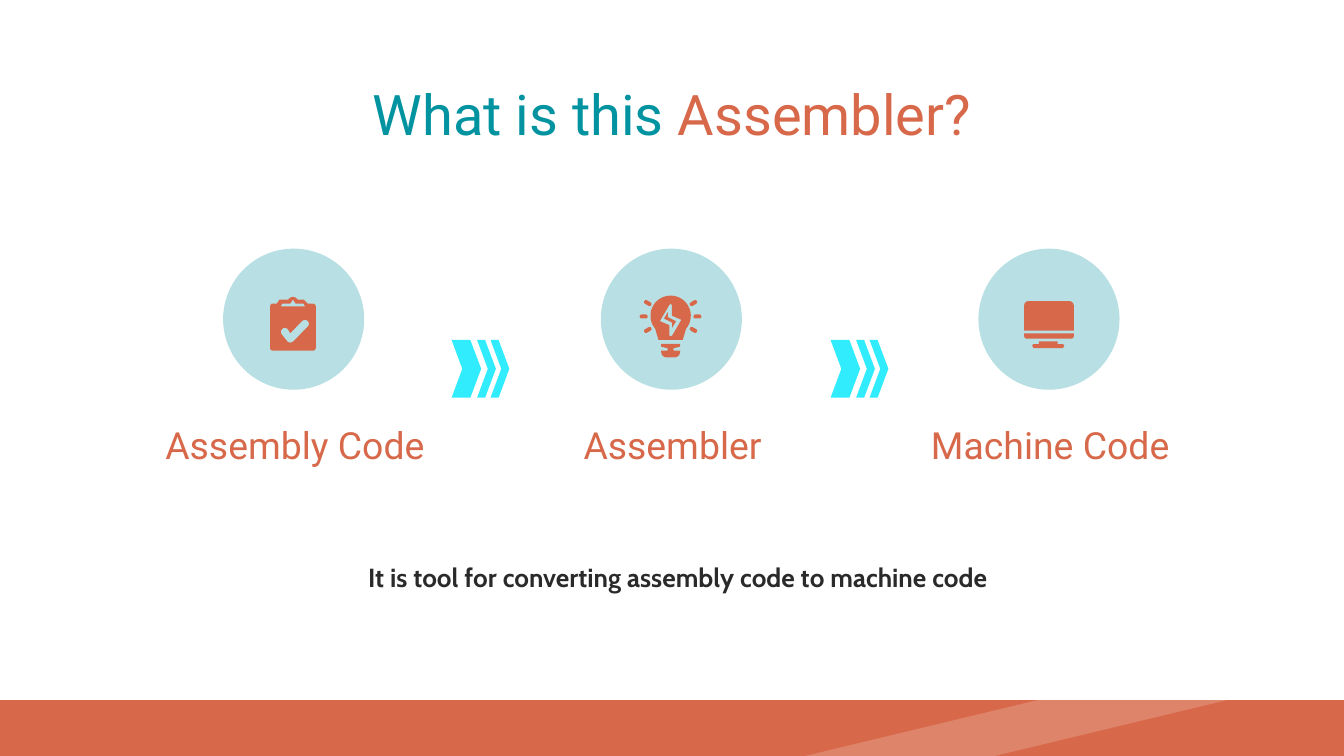
from math import cos, sin, radians

from lxml import etree
from pptx import Presentation
from pptx.dml.color import RGBColor
from pptx.enum.shapes import MSO_SHAPE as SHAPE
from pptx.enum.text import MSO_ANCHOR as ANCHOR, PP_ALIGN as ALIGN
from pptx.oxml.ns import qn
from pptx.util import Inches, Pt

TEAL, CORAL, CYAN, WHITE, INK = "0293A0", "D7694A", "31ECFC", "FFFFFF", "2A2A2A"


def color(value):
    return RGBColor.from_string(value)


def arc(x, y, radius, start, end, steps=12):
    """Points on a circle; angles in degrees, clockwise from the right."""
    angles = [radians(start + (end - start) * i / steps) for i in range(steps + 1)]
    return [(x + radius * cos(a), y + radius * sin(a)) for a in angles]


class SlideBuilder:
    heading_font = "Roboto"
    body_font = "Cabin"

    def __init__(self, slide):
        self.slide = slide

    def paint(self, shape, fill, opacity=100):
        shape.shadow.inherit = False
        shape.fill.solid()
        shape.fill.fore_color.rgb = color(fill)
        shape.line.fill.background()
        if opacity < 100:
            rgb = shape.fill._xPr.find(".//" + qn("a:srgbClr"))
            etree.SubElement(rgb, qn("a:alpha")).set("val", str(opacity * 1000))
        return shape

    def shape(self, kind, left, top, width, height, fill, opacity=100,
              adjust=None, rotation=0):
        shape = self.slide.shapes.add_shape(
            kind, Inches(left), Inches(top), Inches(width), Inches(height))
        if adjust is not None:
            shape.adjustments[0] = adjust
        shape.rotation = rotation
        return self.paint(shape, fill, opacity)

    def outline(self, fill, *contours):
        """Filled outline; contours after the first are holes."""
        paths = [[(Inches(x), Inches(y)) for x, y in c] for c in contours]
        builder = self.slide.shapes.build_freeform(*paths[0][0])
        builder.add_line_segments(paths[0][1:])
        for path in paths[1:]:
            builder.move_to(*path[0])
            builder.add_line_segments(path[1:])
        return self.paint(builder.convert_to_shape(), fill)

    def text(self, left, top, width, height, runs, size, font=heading_font,
             bold=False, anchor=ANCHOR.MIDDLE, side=0.1):
        box = self.slide.shapes.add_textbox(
            Inches(left), Inches(top), Inches(width), Inches(height))
        frame = box.text_frame
        frame.word_wrap = True
        frame.vertical_anchor = anchor
        frame.margin_left = frame.margin_right = Inches(side)
        frame.margin_top = frame.margin_bottom = Inches(0.1)
        paragraph = frame.paragraphs[0]
        paragraph.alignment = ALIGN.CENTER
        paragraph.font.name, paragraph.font.size = font, Pt(size)
        paragraph.font.bold = bold
        for words, fill in runs:
            run = paragraph.add_run()
            run.text = words
            run.font.color.rgb = color(fill)

    def chevrons(self, left, top, height=0.43, tip=0.08):
        for offset, body in ((0, 0.14), (0.19, 0.06), (0.29, 0.06)):
            x, middle, bottom = left + offset, top + height / 2, top + height
            self.outline(CYAN, [
                (x, top), (x + tip, middle), (x, bottom), (x + body, bottom),
                (x + body + tip, middle), (x + body, top)])

    def clipboard(self, x):
        board = [(x - 0.16, 2.26), (x - 0.12, 2.26), (x - 0.1, 2.23), (x - 0.04, 2.23),
                 *arc(x, 2.25, 0.04, 210, 330),
                 (x + 0.04, 2.23), (x + 0.08, 2.23), (x + 0.11, 2.26),
                 *arc(x + 0.15, 2.28, 0.02, 270, 360, 3),
                 *arc(x + 0.15, 2.59, 0.02, 0, 90, 3),
                 *arc(x - 0.15, 2.59, 0.02, 90, 180, 3),
                 *arc(x - 0.15, 2.28, 0.02, 180, 270, 3)]
        clip = [(x - 0.09, 2.28), (x - 0.08, 2.26), (x - 0.02, 2.26), (x, 2.23),
                (x + 0.02, 2.26), (x + 0.08, 2.26), (x + 0.09, 2.28)]
        tick = [*arc(x - 0.06, 2.47, 0.03, 135, 315, 6), (x - 0.02, 2.48),
                *arc(x + 0.09, 2.41, 0.03, 225, 405, 6),
                *arc(x - 0.02, 2.52, 0.03, 45, 135, 4)]
        self.outline(CORAL, board, clip, tick)

    def light_bulb(self, x):
        # Rays mirrored on both sides
        for side in (-1, 1):
            for dx, dy, angle in ((0.17, -0.1, -30), (0.2, 0, 0), (0.17, 0.1, 30)):
                self.shape(SHAPE.ROUNDED_RECTANGLE, x + side * dx - 0.03,
                           2.34 + dy, 0.06, 0.03, CORAL, adjust=0.5,
                           rotation=side * angle)
        # Glass with a lightning bolt
        glass = [(x - 0.09, 2.53), *arc(x, 2.35, 0.15, 140, 400, 36), (x + 0.09, 2.53)]
        bolt = [(x, 2.26), (x + 0.01, 2.27), (x + 0.01, 2.35), (x + 0.08, 2.38),
                (x + 0.01, 2.5), (x - 0.01, 2.5), (x - 0.01, 2.42),
                (x - 0.08, 2.39), (x - 0.01, 2.27)]
        spark = [(x - 0.02, 2.32), (x - 0.05, 2.37), (x + 0.01, 2.4),
                 (x + 0.01, 2.44), (x + 0.04, 2.39), (x - 0.02, 2.36)]
        self.outline(CORAL, glass, bolt)
        self.outline(CORAL, spark)
        # Screw base
        self.outline(CORAL, [
            (x - 0.07, 2.56), (x - 0.07, 2.58), *arc(x - 0.03, 2.6, 0.01, 270, 450, 6),
            (x - 0.07, 2.61), *arc(x - 0.03, 2.62, 0.04, 180, 90, 4),
            *arc(x + 0.03, 2.62, 0.04, 90, 0, 4), (x + 0.07, 2.61),
            *arc(x + 0.03, 2.6, 0.01, 90, 270, 6), (x + 0.07, 2.58), (x + 0.07, 2.56)])

    def monitor(self, x):
        left = x - 0.18
        self.shape(SHAPE.ROUND_2_SAME_RECTANGLE, left, 2.24, 0.37, 0.22, CORAL, adjust=0.15)
        self.shape(SHAPE.ROUND_2_SAME_RECTANGLE, left, 2.48, 0.37, 0.04, CORAL,
                   adjust=0.5, rotation=180)
        self.outline(CORAL, [
            (x - 0.07, 2.54), (x - 0.07, 2.56), (x - 0.11, 2.56), (x - 0.12, 2.57),
            (x - 0.11, 2.59), (x + 0.11, 2.59), (x + 0.12, 2.57), (x + 0.11, 2.56),
            (x + 0.07, 2.56), (x + 0.07, 2.54)])


# Widescreen slide, 16:9
presentation = Presentation()
presentation.slide_width = Inches(10)
presentation.slide_height = Inches(10) * 9 // 16
slide = presentation.slides.add_slide(presentation.slide_layouts[6])
slide.background.fill.solid()
slide.background.fill.fore_color.rgb = color(WHITE)
builder = SlideBuilder(slide)

# Footer band
builder.shape(SHAPE.RECTANGLE, -0.03, 5.21, 10.06, 0.43, CORAL)
builder.shape(SHAPE.PARALLELOGRAM, 5.93, 5.2, 3.24, 0.44, WHITE, 18, adjust=4.16)

# Title
builder.text(0.79, 0.49, 8.42, 0.63,
             [("What is this ", TEAL), ("Assembler?", CORAL)], 30, anchor=ANCHOR.TOP)

# Three steps: circle, icon and label in equal columns
column = 2.81
steps = (("Assembly Code", builder.clipboard),
         ("Assembler", builder.light_bulb),
         ("Machine Code", builder.monitor))
for index, (label, draw_icon) in enumerate(steps):
    left = 0.79 + index * column
    center = left + 1.4
    builder.shape(SHAPE.OVAL, center - 0.53, 1.85, 1.05, 1.05, TEAL, 28)
    draw_icon(center - 0.01)
    builder.text(left, 3.07, column, 0.47, [(label, CORAL)], 20)

# Arrows between the steps
for index in range(2):
    builder.chevrons(3.36 + index * 2.82, 2.53)

# Explanation
builder.text(2.38, 3.5, 5.33, 1.59,
             [("It is tool for converting assembly code to machine code", INK)],
             14, font=builder.body_font, bold=True, side=0)

presentation.save("out.pptx")
